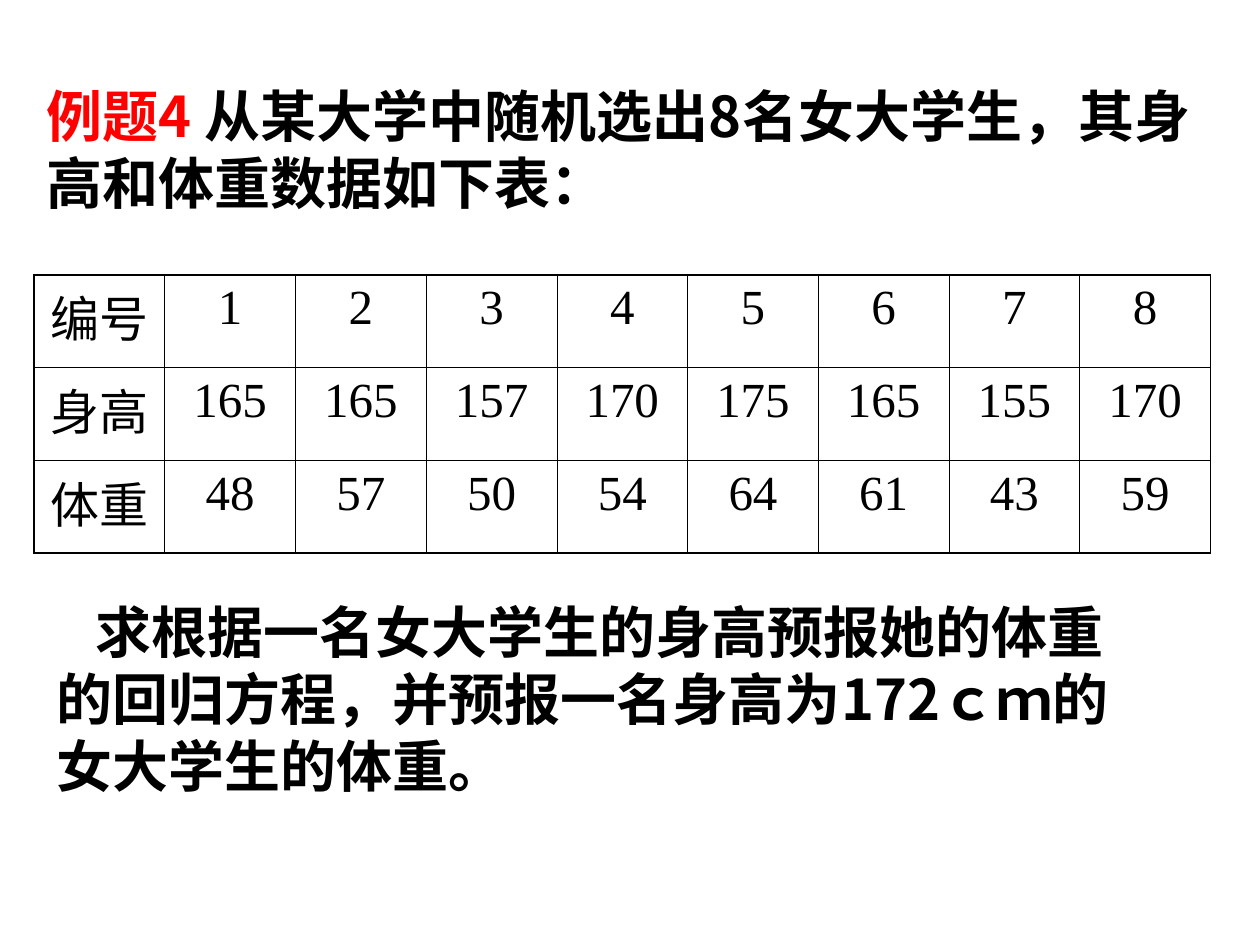
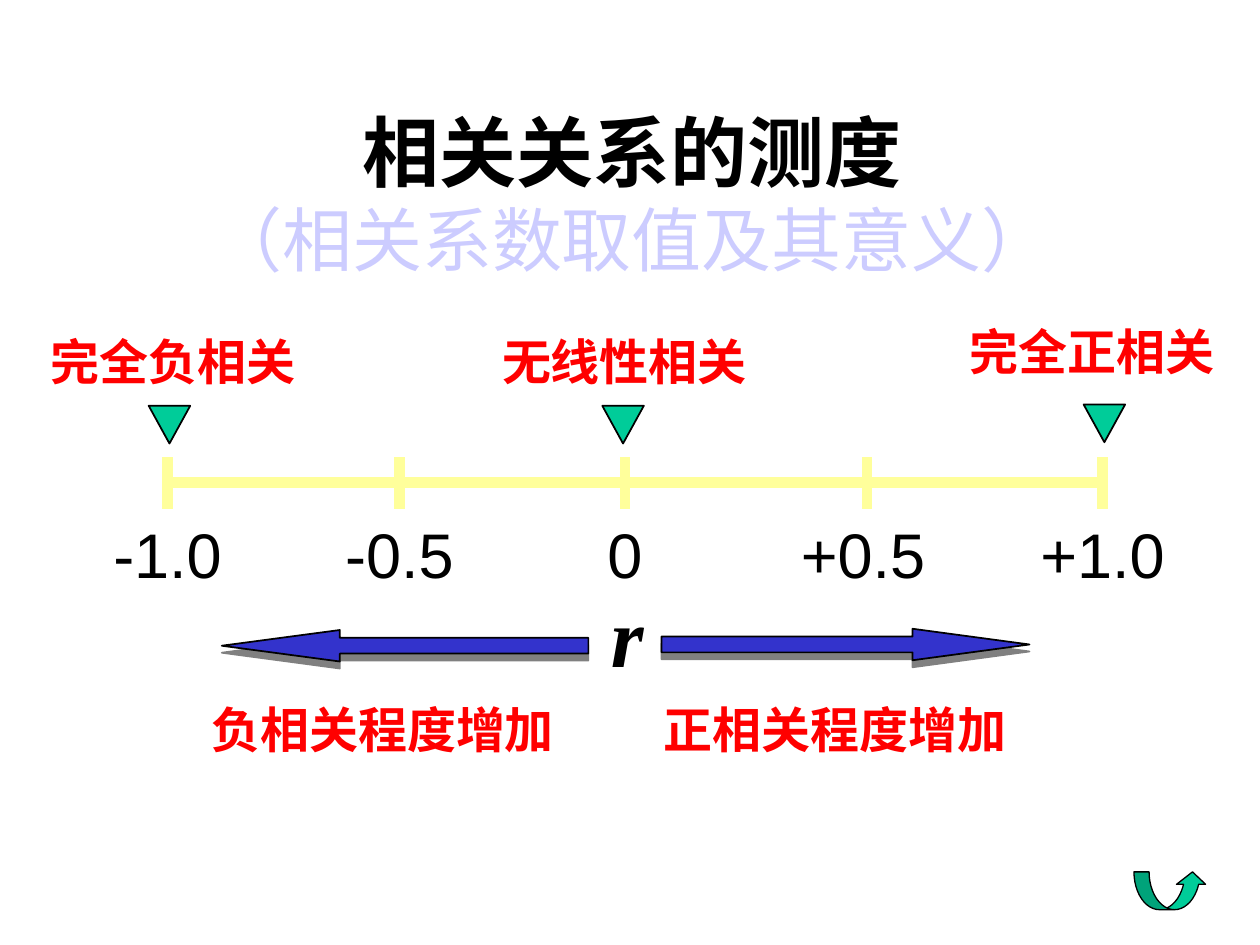
from dataclasses import dataclass
from typing import NamedTuple

from lxml.etree import SubElement
from pptx import Presentation
from pptx.dml.color import RGBColor
from pptx.enum.shapes import MSO_CONNECTOR, MSO_SHAPE
from pptx.enum.text import MSO_ANCHOR, PP_ALIGN
from pptx.oxml.ns import qn
from pptx.util import Inches, Pt


@dataclass(frozen=True)
class Theme:
    ink: str = "000000"
    red: str = "FF0000"
    pale: str = "CCCCFF"
    scale: str = "FFFF9B"
    green: str = "00CC99"
    blue: str = "3333CC"
    shade: str = "808080"
    sans: str = "Arial"
    serif: str = "Times New Roman"
    han: str = "Noto Sans CJK SC"
    title: int = 44
    sub: int = 40
    body: int = 32
    label: int = 28
    tick: int = 36
    sign: int = 48
    thin: float = 0.45
    thick: float = 1.08


THEME = Theme()


class Box(NamedTuple):
    left: float
    top: float
    width: float
    height: float

    def emu(self) -> list:
        return [Inches(side) for side in self]


class Style(NamedTuple):
    size: int
    face: str
    color: str = THEME.ink
    bold: bool = False
    slant: bool = False
    align: PP_ALIGN = PP_ALIGN.LEFT


class Tick(NamedTuple):
    x: float
    mid: float
    text: str


class Mark(NamedTuple):
    text: str
    box: Box
    tip: Box


class Trend(NamedTuple):
    text: str
    box: Box
    arrow: Box
    kind: MSO_SHAPE
    head: float


BODY = Style(THEME.body, THEME.han, bold=True)
CELL = Style(THEME.label, THEME.serif, align=PP_ALIGN.CENTER)
TITLE = Style(THEME.title, THEME.serif, bold=True, align=PP_ALIGN.CENTER)
SCALE = Style(THEME.tick, THEME.sans, align=PP_ALIGN.CENTER)
NOTE = Style(THEME.label, THEME.sans, THEME.red, bold=True)
SIGN = Style(THEME.sign, THEME.serif, bold=True, slant=True)

ROWS = (
    ("编号", 1, 2, 3, 4, 5, 6, 7, 8),
    ("身高", 165, 165, 157, 170, 175, 165, 155, 170),
    ("体重", 48, 57, 50, 54, 64, 61, 43, 59),
)
TICKS = (
    Tick(1.33, 1.33, "-1.0"),
    Tick(3.17, 3.17, "-0.5"),
    Tick(4.96, 4.96, "0"),
    Tick(6.88, 6.85, "+0.5"),
    Tick(8.75, 8.75, "+1.0"),
)
MARKS = (
    Mark("完全负相关", Box(0.25, 2.58, 2.25, 0.56), Box(1.18, 3.22, 0.33, 0.3)),
    Mark("无线性相关", Box(3.83, 2.58, 2.25, 0.56), Box(4.78, 3.22, 0.33, 0.3)),
    Mark("完全正相关", Box(7.58, 2.5, 2.17, 0.56), Box(8.6, 3.21, 0.33, 0.3)),
)
TRENDS = (
    Trend("负相关程度增加", Box(1.58, 5.5, 3, 0.56),
          Box(1.76, 5, 2.91, 0.25), MSO_SHAPE.LEFT_ARROW, 3.75),
    Trend("正相关程度增加", Box(5.17, 5.5, 3, 0.56),
          Box(5.25, 4.99, 2.92, 0.25), MSO_SHAPE.RIGHT_ARROW, 3.71),
)


def tint(color: str) -> RGBColor:
    return RGBColor.from_string(color)


def set_style(para, style: Style) -> None:
    para.alignment = style.align
    font = para.font
    font.size, font.name = Pt(style.size), style.face
    font.bold, font.italic = style.bold, style.slant
    font.color.rgb = tint(style.color)
    props = para._p.pPr.find(qn("a:defRPr"))
    SubElement(props, qn("a:ea"), typeface=THEME.han)


def add_text(slide, box: Box, text: str, style: Style):
    """Add a wrapping text box and return its only paragraph."""
    frame = slide.shapes.add_textbox(*box.emu()).text_frame
    frame.word_wrap = True
    para = frame.paragraphs[0]
    set_style(para, style)
    para.add_run().text = text
    return para


def add_form(slide, kind: MSO_SHAPE, box: Box, color: str, width: float = 1):
    form = slide.shapes.add_shape(kind, *box.emu())
    form.shadow.inherit = False
    form.fill.solid()
    form.fill.fore_color.rgb = tint(color)
    form.line.color.rgb = tint(THEME.ink)
    form.line.width = Pt(width)
    return form


def add_line(slide, x1: float, y1: float, x2: float, y2: float) -> None:
    ends = [Inches(end) for end in (x1, y1, x2, y2)]
    line = slide.shapes.add_connector(MSO_CONNECTOR.STRAIGHT, *ends)
    line.line.color.rgb = tint(THEME.scale)
    line.line.width = Pt(6)
    SubElement(line._element.spPr, qn("a:effectLst"))


def drop_shade(form) -> None:
    """Cast a hard shadow straight down."""
    effect = form._element.spPr.find(qn("a:effectLst"))
    shade = SubElement(effect, qn("a:outerShdw"), blurRad="0",
                       dist=str(Pt(4)), dir="5400000", rotWithShape="0")
    SubElement(shade, qn("a:srgbClr"), val=THEME.shade)


def set_edge(cell, side: str, width: float) -> None:
    props = cell._tc.get_or_add_tcPr()
    edge = SubElement(props, qn(f"a:ln{side}"), w=str(Pt(width)))
    fill = SubElement(edge, qn("a:solidFill"))
    SubElement(fill, qn("a:srgbClr"), val=THEME.ink)


def add_grid(slide, box: Box) -> None:
    """Draw the data table with a heavier outer frame."""
    high, wide = len(ROWS), len(ROWS[0])
    table = slide.shapes.add_table(high, wide, *box.emu()).table
    table.first_row = table.horz_banding = False
    for r, row in enumerate(ROWS):
        for c, value in enumerate(row):
            cell = table.cell(r, c)
            cell.text = str(value)
            set_style(cell.text_frame.paragraphs[0], CELL)
            outer = {"L": c == 0, "R": c == wide - 1,
                     "T": r == 0, "B": r == high - 1}
            for side, heavy in outer.items():
                set_edge(cell, side, THEME.thick if heavy else THEME.thin)
            cell.fill.background()


def draw_task(slide) -> None:
    lead = add_text(slide, Box(0.27, 0.6, 9.37, 1.17), "例题4 ", BODY)
    lead.runs[0].font.color.rgb = tint(THEME.red)
    lead.add_run().text = "从某大学中随机选出8名女大学生，其身高和体重数据如下表："
    add_grid(slide, Box(0.27, 2.18, 9.34, 2.21))
    ask = add_text(
        slide, Box(0.35, 4.69, 8.9, 1.7),
        "求根据一名女大学生的身高预报她的体重的回归方程，"
        "并预报一名身高为172ｃｍ的女大学生的体重。", BODY)
    ask._p.pPr.set("indent", str(Inches(0.31)))


def draw_scale(slide) -> None:
    head = add_text(slide, Box(1.14, 0.91, 7.75, 1.24), "相关关系的测度", TITLE)
    head._parent.vertical_anchor = MSO_ANCHOR.MIDDLE
    head.add_line_break()
    sub = head.add_run()
    sub.text = "（相关系数取值及其意义）"
    sub.font.size, sub.font.bold = Pt(THEME.sub), False
    sub.font.color.rgb = tint(THEME.pale)

    add_line(slide, TICKS[0].x, 3.83, TICKS[-1].x, 3.83)
    for tick in TICKS:
        add_line(slide, tick.x, 3.63, tick.x, 4.04)
        add_text(slide, Box(tick.mid - 0.83, 4.04, 1.66, 0.7), tick.text, SCALE)

    for mark in MARKS:
        add_text(slide, mark.box, mark.text,
                 NOTE._replace(align=PP_ALIGN.CENTER))
        tip = add_form(slide, MSO_SHAPE.ISOSCELES_TRIANGLE, mark.tip, THEME.green)
        tip.rotation = 180

    for trend in TRENDS:
        add_text(slide, trend.box, trend.text, NOTE)
        arrow = add_form(slide, trend.kind, trend.arrow, THEME.blue)
        arrow.adjustments[1] = trend.head
        drop_shade(arrow)
    add_text(slide, Box(4.75, 4.58, 0.42, 0.9), "r", SIGN)

    back = add_form(slide, MSO_SHAPE.CURVED_UP_ARROW,
                    Box(9, 6.92, 0.58, 0.3), THEME.green, 0.75)
    for spot, value in enumerate((0.4, 0.77, 0.33)):
        back.adjustments[spot] = value


def main() -> None:
    deck = Presentation()
    deck.slide_width, deck.slide_height = Inches(10), Inches(7.5)
    for draw in (draw_task, draw_scale):
        draw(deck.slides.add_slide(deck.slide_layouts[6]))
    deck.save("out.pptx")


if __name__ == "__main__":
    main()
